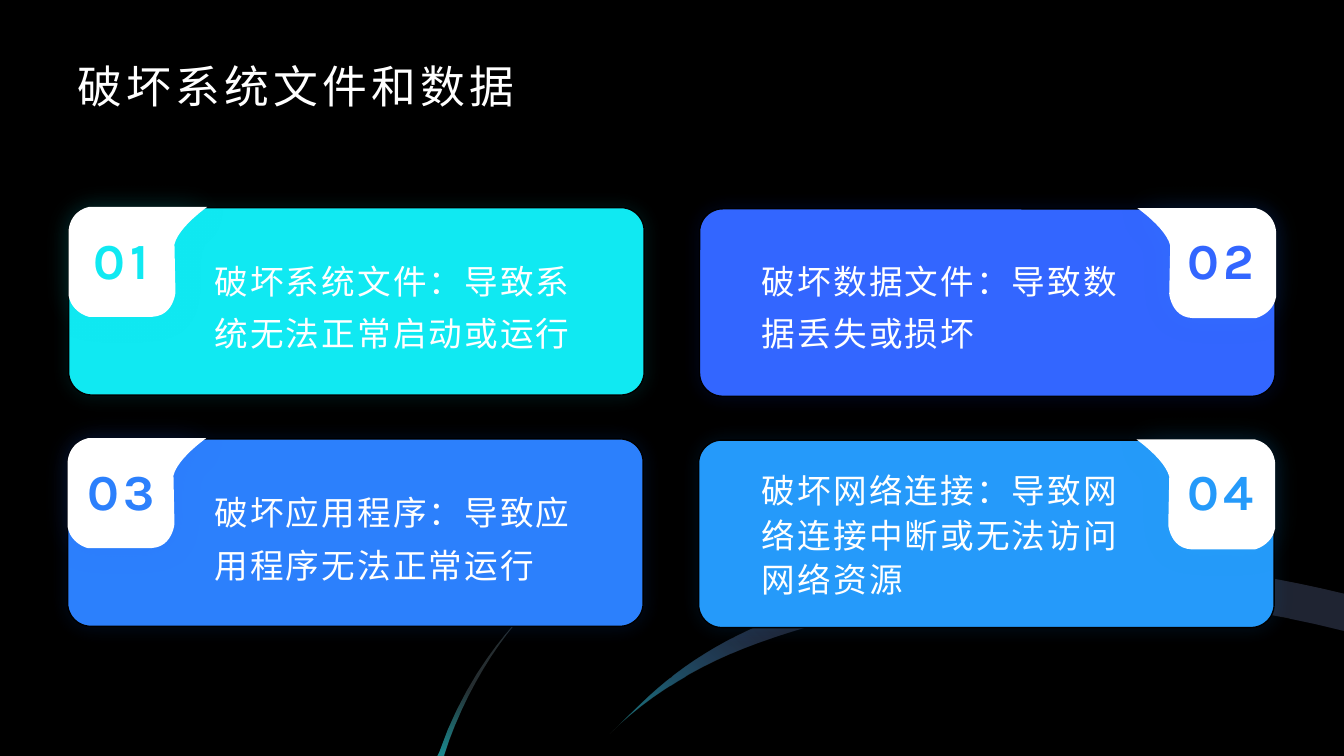
"""Build a dark slide with four numbered cards about damage to files and data."""
from dataclasses import dataclass

import pptx
import pptx.dml.color
import pptx.enum.shapes
import pptx.enum.text
import pptx.oxml
import pptx.oxml.ns
import pptx.util
from pptx.util import Pt


@dataclass(frozen=True)
class Theme:
    background: str = "000000"
    white: str = "FFFFFF"
    cyan: str = "10E9F2"
    indigo: str = "3366FF"
    blue: str = "2C80FC"
    sky: str = "259AFA"
    glow: str = "1EB5F7"
    swoosh: str = "1E1D1B"
    streak: str = "252D30"
    title_font: str = "Roboto"
    body_font: str = "Karla"
    title_size: float = 32
    body_size: float = 24
    number_size: float = 36


THEME = Theme()
TITLE = "破坏系统文件和数据"

CARDS = [
    ("破坏系统文件：导致系统无法正常启动或运行", THEME.cyan, "0AB1B8", THEME.cyan, 1.3),
    ("破坏数据文件：导致数据丢失或损坏", THEME.indigo, "0039E5", THEME.sky, 1.3),
    ("破坏应用程序：导致应用程序无法正常运行", THEME.blue, "035ADB", THEME.indigo, 1.3),
    ("破坏网络连接：导致网络连接中断或无法访问网络资源", THEME.sky, "0576D2", THEME.glow, 1.1),
]

SWOOSH = [
    (960, 450.7),
    (878, 430, 792, 422, 720, 424.8),
    (655, 427, 592, 441, 541.4, 459.4),
    (501, 474, 464, 496, 435.6, 524.2),
    (457.9, 502.6),
    (481, 480, 509, 461, 542.9, 446.4),
    (580, 430, 620, 417, 662.4, 410.4),
    (701, 404, 738, 401, 775.4, 401),
    (838, 401, 898, 409, 960, 424.1),
]
STREAK = [
    (378.7, 434.2),
    (357.1, 455, 331.2, 495.4, 317.5, 539.3),
    (317.5, 540),
    (312.5, 540),
    (313.9, 537.1),
    (336.2, 471.6, 378.7, 434.2, 378.7, 434.2),
]
BADGE_WIDTH = 99
BADGE = [
    (14.4, 0),
    (99, 0),
    (99, 0, 78.5, 14.4, 75.6, 26.6),
    (76.3, 61.2),
    (76.3, 61.2, 74.9, 77.8, 59.8, 78.5),
    (14.4, 78.5),
    (14.4, 78.5, 2.2, 75.6, 0, 63.4),
    (0, 17.3),
    (0, 17.3, 0, 3.6, 14.4, 0),
]


def flatten(outline, steps=12):
    """Turn lines and cubic curves into a list of points."""
    points = [outline[0]]
    for segment in outline[1:]:
        if len(segment) == 2:
            points.append(segment)
            continue
        corners = [points[-1], segment[:2], segment[2:4], segment[4:]]
        for step in range(1, steps + 1):
            t = step / steps
            weights = ((1 - t) ** 3, 3 * t * (1 - t) ** 2, 3 * t * t * (1 - t), t ** 3)
            points.append(tuple(sum(weight * corner[axis] for weight, corner in zip(weights, corners))
                                for axis in (0, 1)))
    return points


def rgb(color):
    """Return a colour object for a hex string."""
    return pptx.dml.color.RGBColor.from_string(color)


def color_xml(color, alpha):
    """Return a colour element with its opacity in percent."""
    return f'<a:srgbClr val="{color}"><a:alpha val="{alpha * 1000}"/></a:srgbClr>'


class SlideBuilder:
    """Hold the theme and the current slide and add styled elements."""

    def __init__(self, presentation, theme):
        """Add a title-only slide with a plain background."""
        self.theme = theme
        self.slide = presentation.slides.add_slide(presentation.slide_layouts[5])
        self.slide.background.fill.solid()
        self.slide.background.fill.fore_color.rgb = rgb(theme.background)

    def fill_text(self, frame, text, size, font, color, spacing, bold=False):
        """Put one formatted run in a text frame."""
        frame.word_wrap = True
        frame.auto_size = pptx.enum.text.MSO_AUTO_SIZE.NONE
        frame.text = text
        run = frame.paragraphs[0].runs[0]
        run.font.size = Pt(size)
        run.font.name = font
        run.font.bold = bold
        run.font.color.rgb = rgb(color)
        run.font._element.set("spc", str(int(spacing * 100)))
        return frame.paragraphs[0]

    def title(self, text, left, top, width, height):
        """Place and format the title placeholder."""
        shape = self.slide.shapes.title
        shape.left, shape.top, shape.width, shape.height = map(Pt, (left, top, width, height))
        frame = shape.text_frame
        frame.margin_top = frame.margin_bottom = 0
        frame.vertical_anchor = pptx.enum.text.MSO_ANCHOR.BOTTOM
        paragraph = self.fill_text(frame, text, self.theme.title_size, self.theme.title_font, self.theme.white, 3)
        paragraph.alignment = pptx.enum.text.PP_ALIGN.LEFT

    def body(self, text, left, top, line_spacing):
        """Add the text of one card."""
        frame = self.slide.shapes.add_textbox(Pt(left), Pt(top), Pt(282.2), Pt(103)).text_frame
        frame.vertical_anchor = pptx.enum.text.MSO_ANCHOR.MIDDLE
        paragraph = self.fill_text(frame, text, self.theme.body_size, self.theme.body_font, self.theme.white, 1.5)
        paragraph.line_spacing = line_spacing

    def number(self, text, left, top, color):
        """Add the number of one card."""
        frame = self.slide.shapes.add_textbox(Pt(left), Pt(top), Pt(60.5), Pt(49)).text_frame
        frame.margin_left = frame.margin_right = frame.margin_top = frame.margin_bottom = 0
        paragraph = self.fill_text(frame, text, self.theme.number_size, self.theme.body_font, color, 3, True)
        paragraph.alignment = pptx.enum.text.PP_ALIGN.CENTER

    def shadow(self, shape, color, blur, alpha):
        """Give a shape a soft centred glow."""
        shape.shadow.inherit = False
        effects = shape._element.spPr.find(pptx.oxml.ns.qn("a:effectLst"))
        effects.append(pptx.oxml.parse_xml(
            f'<a:outerShdw {pptx.oxml.ns.nsdecls("a")} blurRad="{Pt(blur)}" dist="0" dir="0" '
            f'algn="ctr" rotWithShape="0">{color_xml(color, alpha)}</a:outerShdw>'))

    def card(self, left, top, color, shadow_color):
        """Add a rounded card."""
        shape = self.slide.shapes.add_shape(
            pptx.enum.shapes.MSO_SHAPE.ROUNDED_RECTANGLE, Pt(left), Pt(top), Pt(411.1), Pt(133.9))
        shape.adjustments[0] = 0.124
        shape.fill.solid()
        shape.fill.fore_color.rgb = rgb(color)
        shape.line.color.rgb = rgb(self.theme.background)
        shape.line.width = Pt(1)
        self.shadow(shape, shadow_color, 14, 15)

    def outline(self, points, color):
        """Add a closed outline with a solid fill."""
        vertices = [(Pt(x), Pt(y)) for x, y in points]
        builder = self.slide.shapes.build_freeform(*vertices[0], scale=1.0)
        builder.add_line_segments(vertices[1:], close=True)
        shape = builder.convert_to_shape()
        shape.shadow.inherit = False
        shape.fill.solid()
        shape.fill.fore_color.rgb = rgb(color)
        shape.line.fill.background()
        return shape

    def gradient(self, shape, stops, angle):
        """Replace a solid fill by a gradient with transparent stops."""
        stop_xml = "".join(f'<a:gs pos="{position * 1000}">{color_xml(color, alpha)}</a:gs>'
                           for position, color, alpha in stops)
        solid = shape._element.spPr.find(pptx.oxml.ns.qn("a:solidFill"))
        solid.getparent().replace(solid, pptx.oxml.parse_xml(
            f'<a:gradFill {pptx.oxml.ns.nsdecls("a")} rotWithShape="1"><a:gsLst>{stop_xml}</a:gsLst>'
            f'<a:lin ang="{angle * 60000}" scaled="0"/></a:gradFill>'))

    def badge(self, left, top, mirrored, shadow_color):
        """Add a white number tab, mirrored on right-hand cards."""
        points = [(left + (BADGE_WIDTH - x if mirrored else x), top + y) for x, y in flatten(BADGE)]
        self.shadow(self.outline(points, self.theme.white), shadow_color, 22, 13)


def main():
    """Build and save the slide."""
    presentation = pptx.Presentation()
    presentation.slide_width, presentation.slide_height = Pt(960), Pt(540)
    builder = SlideBuilder(presentation, THEME)

    swoosh, streak = flatten(SWOOSH), flatten(STREAK)
    builder.outline(swoosh, THEME.swoosh)
    builder.outline(streak, THEME.streak)
    bright_swoosh = builder.outline(swoosh, THEME.cyan)
    builder.gradient(bright_swoosh, [(0, THEME.cyan, 50), (31, THEME.indigo, 10)], 315)
    bright_streak = builder.outline(streak, THEME.cyan)
    builder.gradient(bright_streak, [(55, THEME.cyan, 0), (100, THEME.cyan, 50)], 90)
    builder.shadow(bright_streak, THEME.glow, 100, 20)

    builder.title(TITLE, 48, 36, 864, 44.6)
    for index, (text, color, card_shadow, badge_shadow, line_spacing) in enumerate(CARDS):
        row, column = divmod(index, 2)
        left = 49 + 450.7 * column - 0.7 * row
        top = 148.3 + 0.9 * column + 165.2 * row
        text_top = 163.4 + 165.6 * row
        builder.card(left, top, color, card_shadow)
        builder.badge(left + 312.8 * column, top - 0.5, column == 1, badge_shadow)
        builder.body(text, 146.2 + 391 * column, text_top, line_spacing)
        builder.number(f"{index + 1:02}", 56.2 + 785.5 * column, text_top, color)
    presentation.save("out.pptx")


if __name__ == "__main__":
    main()
